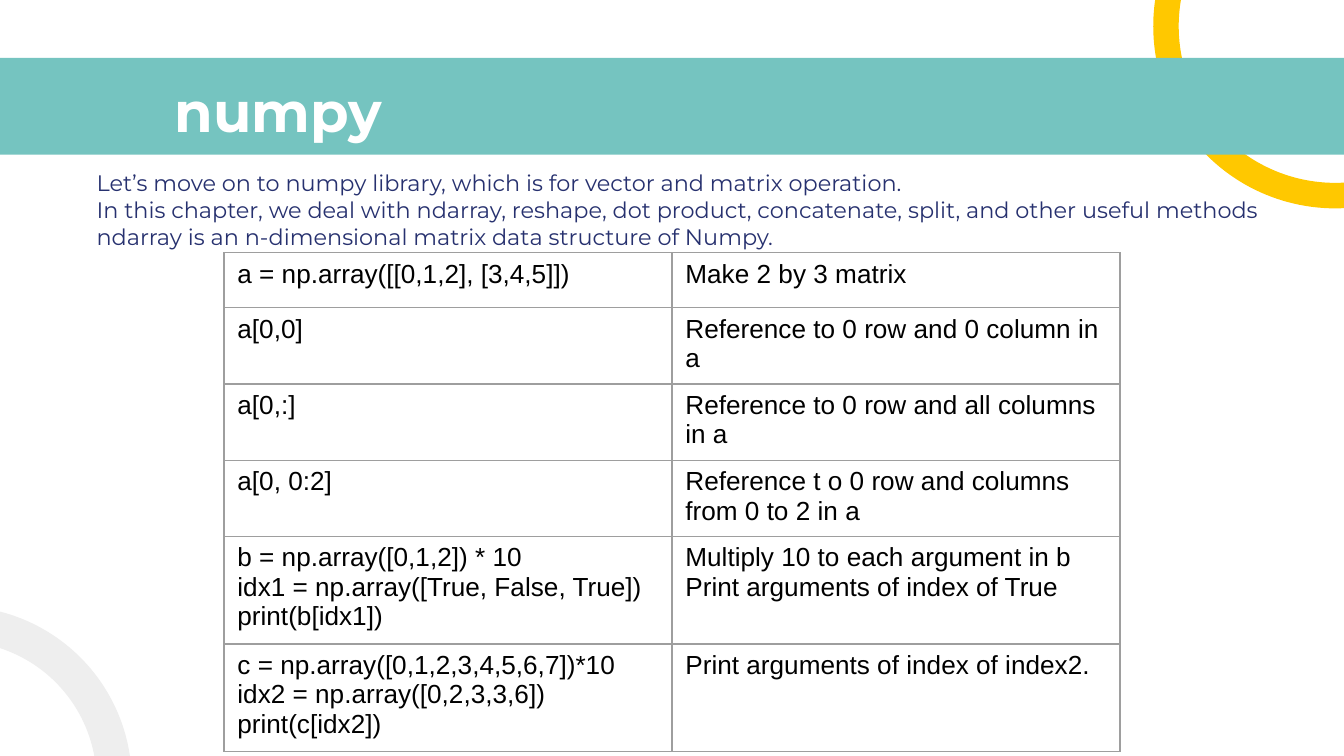
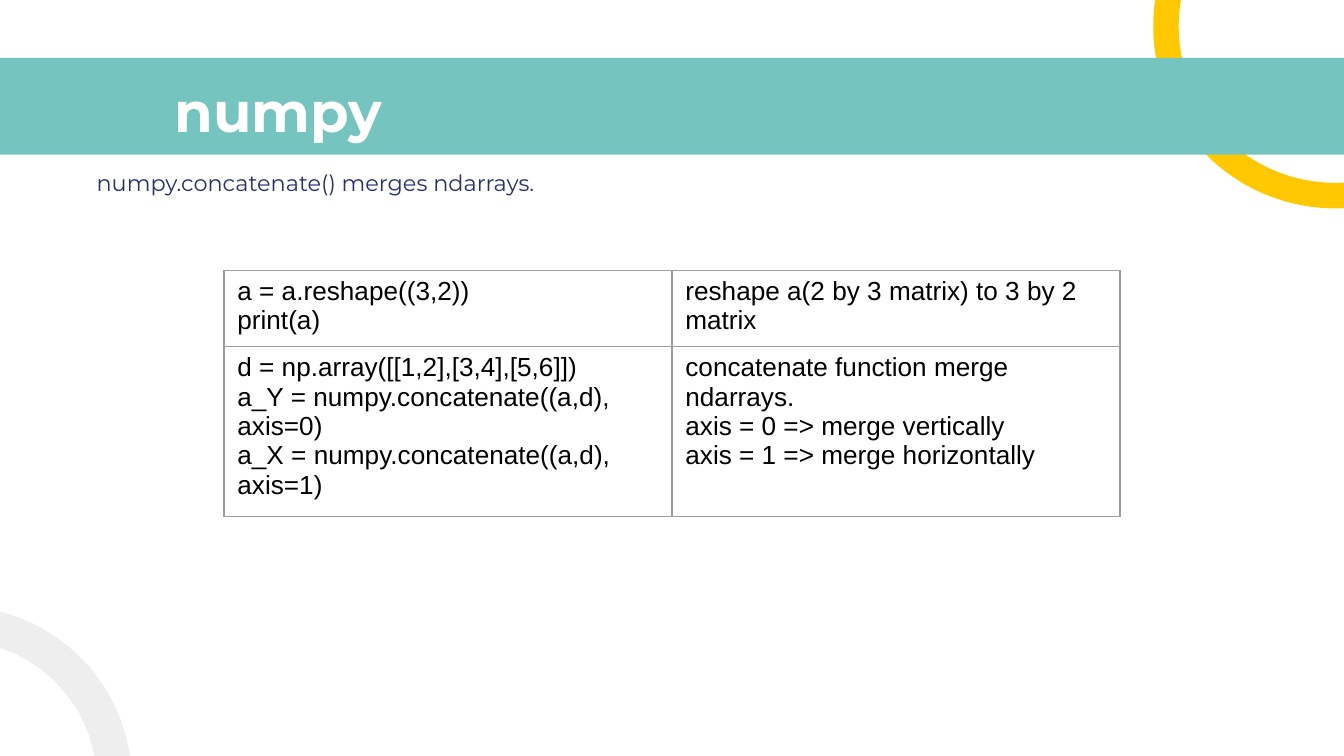
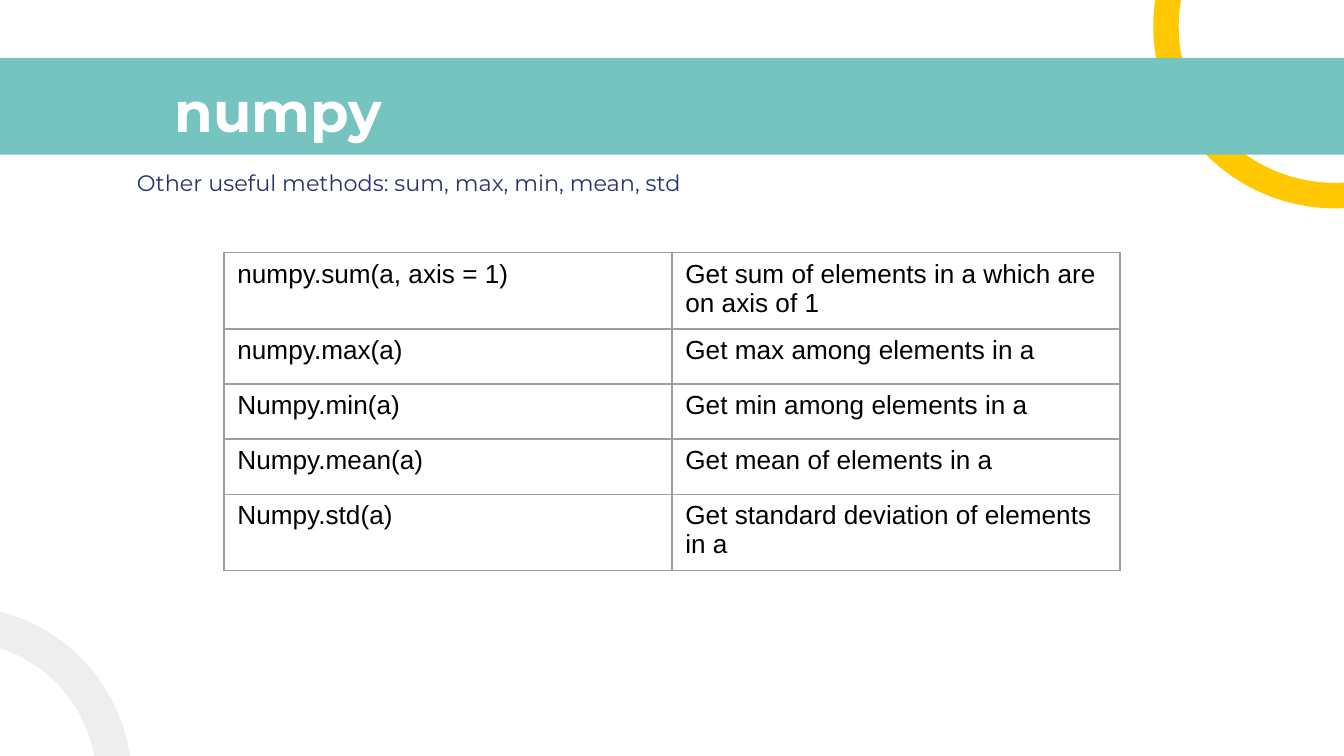
from lxml import etree
from pptx import Presentation
from pptx.dml.color import RGBColor
from pptx.enum.shapes import MSO_SHAPE
from pptx.oxml.ns import qn
from pptx.util import Inches, Pt

ARC = MSO_SHAPE.BLOCK_ARC
RECT = MSO_SHAPE.RECTANGLE

TEAL, YELLOW, GREY = "75C4C0", "FFC800", "EEEEEE"
NAVY, WHITE, BLACK, RULE = "27316F", "FFFFFF", "000000", "9E9E9E"
HEAD, BODY = "Montserrat", "Arial"

W, H = Inches(10), Inches(5.625)
BAND_BOX = (-1.7, 7.64, 103.4, 12.8)
TITLE_BOX = (12, 8.36, 84.6, 11.2)
WIDE_INTRO = (4.7, 20.62, 91.9, 9.78)
NARROW_INTRO = (7.7, 20.62, 84.6, 9.78)
HIGH_TABLE, LOW_TABLE = 33.42, 35.73


def rgb(code):
    return RGBColor.from_string(code)


def across(share):
    return int(W * share / 100)


def down(share):
    return int(H * share / 100)


def place(box):
    x, y, w, h = box
    return across(x), down(y), across(w), down(h)


def add_filled(slide, kind, bounds, color):
    sp = slide.shapes.add_shape(kind, *bounds)
    sp.shadow.inherit = False
    sp.fill.solid()
    sp.fill.fore_color.rgb = rgb(color)
    sp.line.fill.background()
    return sp


def add_arc(slide, x, y, size, color, rotation, angles):
    side = across(size)
    sp = add_filled(slide, ARC, (across(x), down(y), side, side), color)
    sp.rotation = rotation
    for i, value in enumerate(angles):
        sp.adjustments[i] = value


def add_backdrop(slide):
    add_arc(slide, 85.8, -20.62, 27.1, YELLOW, 180, (159.04, 7.22, 0.07))
    add_filled(slide, RECT, place(BAND_BOX), TEAL)
    add_arc(slide, -16.3, 80.18, 26.1, GREY, 74.3, (125.82, 166.85, 0.1))


def write(tf, lines, font, size, color, bold=False):
    for i, line in enumerate(lines):
        p = tf.add_paragraph() if i else tf.paragraphs[0]
        p.text = line
        p.font.name = font
        p.font.size = Pt(size)
        p.font.bold = bold
        p.font.color.rgb = rgb(color)


def add_text(slide, box, lines, size, color, bold=False):
    tf = slide.shapes.add_textbox(*place(box)).text_frame
    tf.word_wrap = True
    tf.margin_left = tf.margin_right = Inches(0.1)
    tf.margin_top = tf.margin_bottom = Inches(0.1)
    write(tf, lines, HEAD, size, color, bold)
    return tf


def add_intro(slide, box, lines):
    tf = add_text(slide, box, lines, 12, NAVY)
    for p in tf.paragraphs:
        pPr = p._p.get_or_add_pPr()
        pPr.set("marL", str(Inches(0.5)))
        pPr.set("indent", str(Inches(-0.35)))


def add_borders(cell):
    tcPr = cell._tc.get_or_add_tcPr()
    for side in ("a:lnL", "a:lnR", "a:lnT", "a:lnB"):
        ln = etree.SubElement(tcPr, qn(side), w=str(Pt(0.75)))
        fill = etree.SubElement(ln, qn("a:solidFill"))
        etree.SubElement(fill, qn("a:srgbClr"), val=RULE)


def add_code_table(slide, top, rows):
    col, row_height = W // 3, Inches(0.41)
    frame = slide.shapes.add_table(len(rows), 2, W // 6, down(top),
                                   2 * col, row_height * len(rows))
    table = frame.table
    table.first_row = table.horz_banding = False
    for r, row in enumerate(rows):
        for c, text in enumerate(row):
            cell = table.cell(r, c)
            write(cell.text_frame, text.split("\n"), BODY, 14, BLACK)
            add_borders(cell)
            cell.fill.background()


def add_topic(prs, intro_box, intro, table_top, rows):
    slide = prs.slides.add_slide(prs.slide_layouts[6])
    add_backdrop(slide)
    add_text(slide, TITLE_BOX, ["numpy"], 30, WHITE, bold=True)
    add_intro(slide, intro_box, intro)
    add_code_table(slide, table_top, rows)


ARRAY_INTRO = [
    "Let’s move on to numpy library, which is for vector and matrix operation.",
    "In this chapter, we deal with ndarray, reshape, dot product, concatenate, "
    "split, and other useful methods",
    "ndarray is an n-dimensional matrix data structure of Numpy.",
]
ARRAY_ROWS = [
    ("a = np.array([[0,1,2], [3,4,5]])", "Make 2 by 3 matrix"),
    ("a[0,0]", "Reference to 0 row and 0 column in a"),
    ("a[0,:]", "Reference to 0 row and all columns in a"),
    ("a[0, 0:2]", "Reference t o 0 row and columns from 0 to 2 in a"),
    ("b = np.array([0,1,2]) * 10\nidx1 = np.array([True, False, True])\n"
     "print(b[idx1])",
     "Multiply 10 to each argument in b\nPrint arguments of index of True"),
    ("c = np.array([0,1,2,3,4,5,6,7])*10\nidx2 = np.array([0,2,3,3,6])\n"
     "print(c[idx2])",
     "Print arguments of index of index2."),
]
MERGE_ROWS = [
    ("a = a.reshape((3,2))\nprint(a)",
     "reshape a(2 by 3 matrix) to 3 by 2 matrix"),
    ("d = np.array([[1,2],[3,4],[5,6]])\n"
     "a_Y = numpy.concatenate((a,d), axis=0)\n"
     "a_X = numpy.concatenate((a,d), axis=1)",
     "concatenate function merge ndarrays.\naxis = 0 => merge vertically\n"
     "axis = 1 => merge horizontally"),
]
METHOD_ROWS = [
    ("numpy.sum(a, axis = 1)",
     "Get sum of elements in a which are on axis of 1"),
    ("numpy.max(a)", "Get max among elements in a"),
    ("Numpy.min(a)", "Get min among elements in a"),
    ("Numpy.mean(a)", "Get mean of elements in a"),
    ("Numpy.std(a)", "Get standard deviation of elements in a"),
]

prs = Presentation()
prs.slide_width, prs.slide_height = W, H
add_topic(prs, WIDE_INTRO, ARRAY_INTRO, HIGH_TABLE, ARRAY_ROWS)
add_topic(prs, WIDE_INTRO, ["numpy.concatenate() merges ndarrays."],
          LOW_TABLE, MERGE_ROWS)
add_topic(prs, NARROW_INTRO, ["Other useful methods: sum, max, min, mean, std"],
          HIGH_TABLE, METHOD_ROWS)
prs.save("out.pptx")
